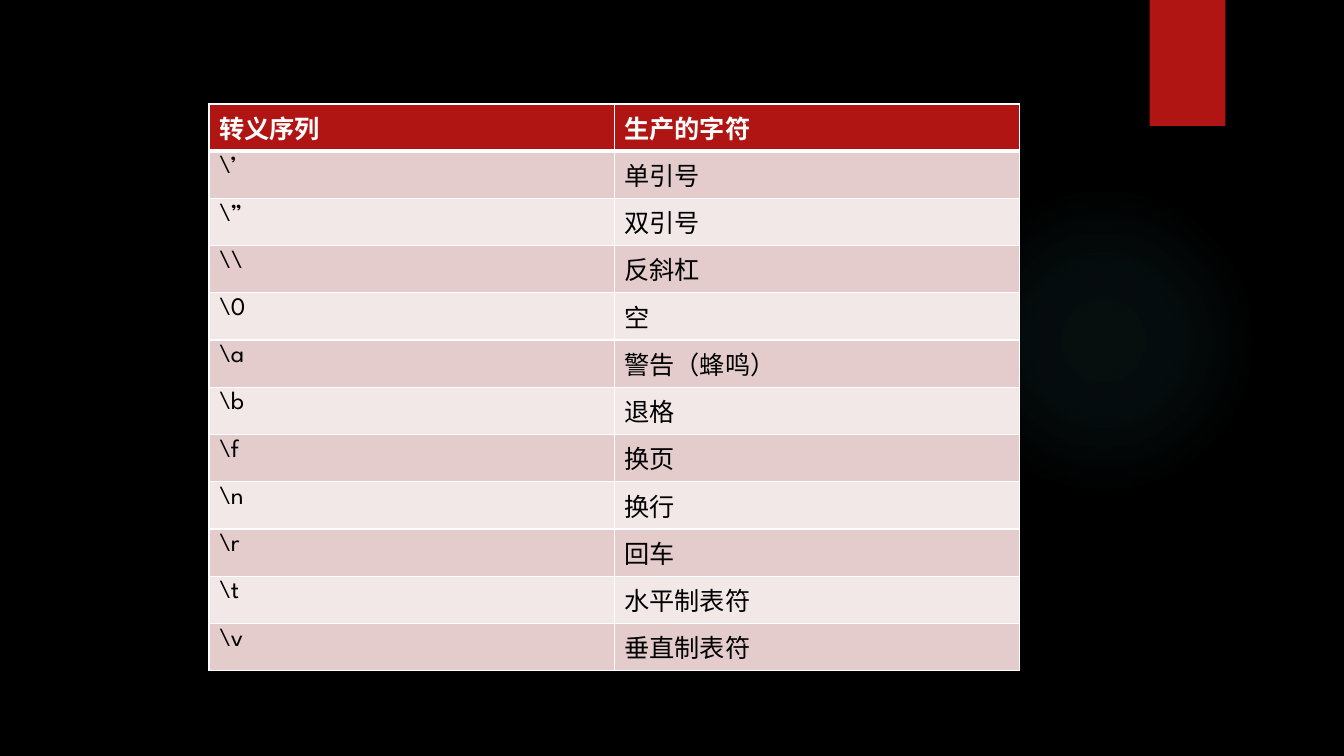
from dataclasses import dataclass

from pptx import Presentation, oxml, util as u
from pptx.dml.color import RGBColor
from pptx.enum import shapes
from pptx.oxml import ns

PX = 9525
FONT = "League Spartan"
COLORS = {
    "background": "000000",
    "glow": "50B9C1",
    "accent": "B01513",
    "light": "FFFFFF",
    "dark": "000000",
    "odd": "E4CCCC",
    "even": "F2E8E7",
}


@dataclass
class Box:
    left: int
    top: int
    width: int
    height: int

    def emu(self) -> list[int]:
        return [side * PX for side in (self.left, self.top, self.width, self.height)]


@dataclass
class Escape:
    sequence: str
    character: str


GLOW = Box(903, 176, 296, 296)
RIBBON = Box(1095, 0, 72, 120)
GRID = Box(199, 99, 772, 540)
GLOW_STOPS = {0: 7, 36: 6, 69: 0}
ROWS = [
    Escape("转义序列", "生产的字符"),
    Escape(r"\’", "单引号"),
    Escape(r"\”", "双引号"),
    Escape(r"\\", "反斜杠"),
    Escape(r"\0", "空"),
    Escape(r"\a", "警告（蜂鸣）"),
    Escape(r"\b", "退格"),
    Escape(r"\f", "换页"),
    Escape(r"\n", "换行"),
    Escape(r"\r", "回车"),
    Escape(r"\t", "水平制表符"),
    Escape(r"\v", "垂直制表符"),
]


def color(name: str) -> RGBColor:
    return RGBColor.from_string(COLORS[name])


def xml(markup: str):
    tag, rest = markup.split(" ", 1)
    return oxml.parse_xml(f"{tag} {ns.nsdecls('a')} {rest}")


def add_panel(page, kind, box: Box):
    panel = page.shapes.add_shape(kind, *box.emu())
    panel.shadow.inherit = False
    panel.line.fill.background()
    return panel


def add_glow(page) -> None:
    glow = add_panel(page, shapes.MSO_SHAPE.OVAL, GLOW)
    glow.fill.background()
    stops = "".join(
        f'<a:gs pos="{place * 1000}"><a:srgbClr val="{COLORS["glow"]}">'
        f'<a:alpha val="{alpha * 1000}"/></a:srgbClr></a:gs>'
        for place, alpha in GLOW_STOPS.items()
    )
    properties = glow.element.spPr
    properties.replace(
        properties.find(ns.qn("a:noFill")),
        xml(
            f'<a:gradFill rotWithShape="1"><a:gsLst>{stops}</a:gsLst><a:path path="circle">'
            '<a:fillToRect l="50000" t="50000" r="50000" b="50000"/></a:path></a:gradFill>'
        ),
    )


def add_ribbon(page) -> None:
    ribbon = add_panel(page, shapes.MSO_SHAPE.RECTANGLE, RIBBON)
    ribbon.fill.solid()
    ribbon.fill.fore_color.rgb = color("accent")
    ribbon.element.spPr.find(ns.qn("a:effectLst")).append(
        xml(
            f'<a:outerShdw blurRad="{u.Pt(3)}" dist="{u.Pt(2)}" dir="5400000" rotWithShape="0">'
            '<a:srgbClr val="000000"><a:alpha val="45000"/></a:srgbClr></a:outerShdw>'
        )
    )


def add_borders(cell, row: int) -> None:
    widths = {"L": 1, "R": 1, "T": 3 if row == 1 else 1, "B": 3 if row == 0 else 1}
    for side, width in widths.items():
        cell._tc.get_or_add_tcPr().append(
            xml(
                f'<a:ln{side} w="{u.Pt(width)}"><a:solidFill>'
                f'<a:srgbClr val="{COLORS["light"]}"/></a:solidFill></a:ln{side}>'
            )
        )


def fill_cell(cell, row: int, wording: str) -> None:
    header = row == 0
    add_borders(cell, row)
    cell.fill.solid()
    cell.fill.fore_color.rgb = color("accent" if header else "odd" if row % 2 else "even")
    span = cell.text_frame.paragraphs[0].add_run()
    span.text = wording
    for name, value in {"name": FONT, "size": u.Pt(18), "bold": header}.items():
        setattr(span.font, name, value)
    span.font.color.rgb = color("light" if header else "dark")


def add_escape_table(page) -> None:
    table = page.shapes.add_table(len(ROWS), 2, *GRID.emu()).table
    for row, escape in enumerate(ROWS):
        for column, wording in enumerate((escape.sequence, escape.character)):
            fill_cell(table.cell(row, column), row, wording)


def main() -> None:
    deck = Presentation()
    deck.slide_width, deck.slide_height = 1280 * PX, 720 * PX
    page = deck.slides.add_slide(deck.slide_layouts[6])
    page.background.fill.solid()
    page.background.fill.fore_color.rgb = color("background")
    add_glow(page)
    add_ribbon(page)
    add_escape_table(page)
    deck.save("out.pptx")


if __name__ == "__main__":
    main()
